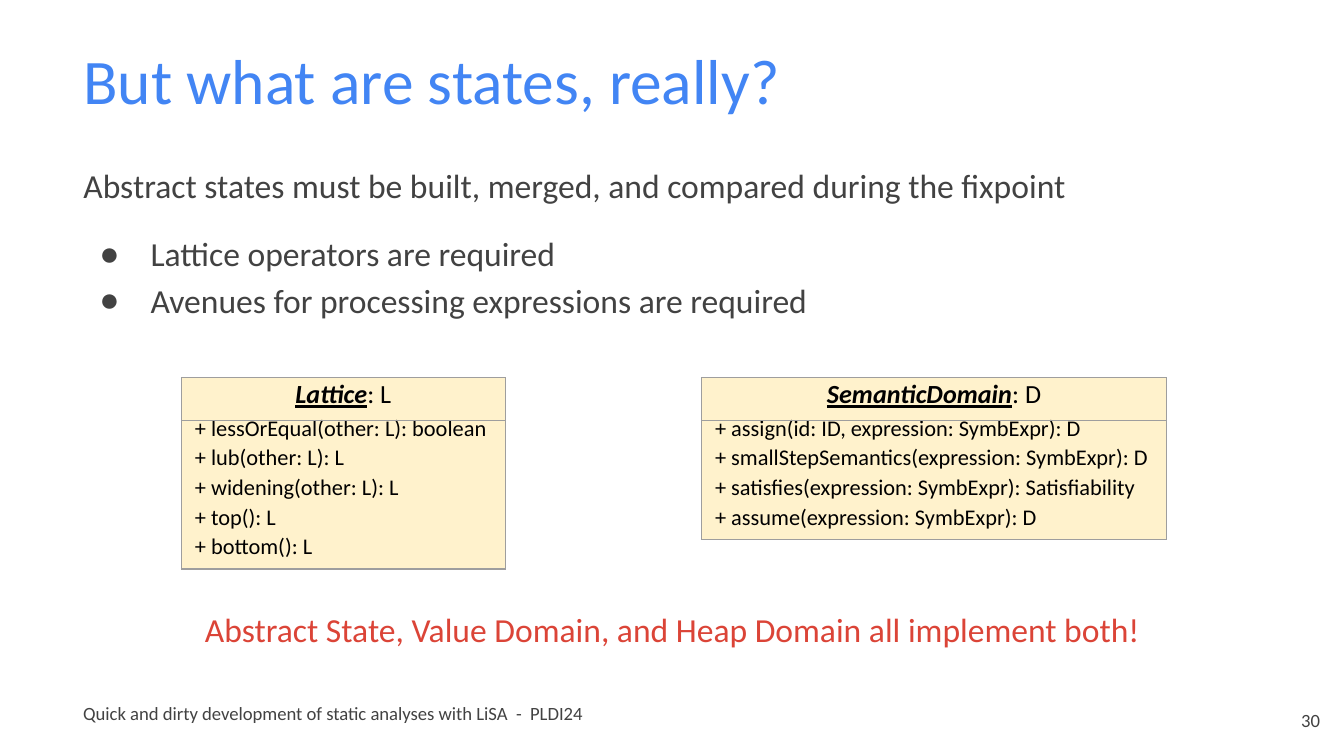
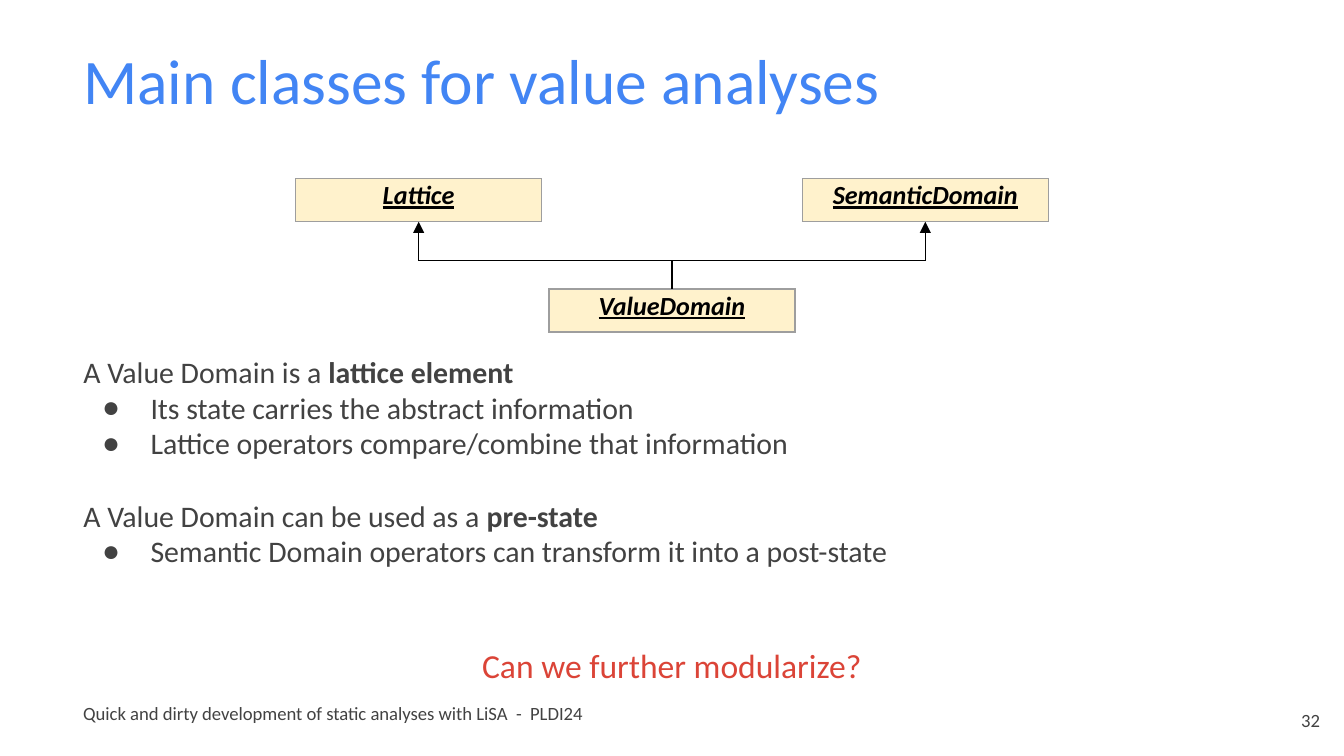
import collections

import lxml.etree
import pptx
import pptx.dml.color
import pptx.enum.shapes
import pptx.enum.text
import pptx.oxml.ns
import pptx.util

Inches, Pt = pptx.util.Inches, pptx.util.Pt
PP_ALIGN = pptx.enum.text.PP_ALIGN
ANCHOR = pptx.enum.text.MSO_ANCHOR
qn = pptx.oxml.ns.qn

Box = collections.namedtuple("Box", "x y w h")

COLORS = {"title": "4285F4", "text": "424242", "accent": "DB4437",
          "ink": "000000", "class": "FFF2CC", "border": "9E9E9E"}
FONT = "Calibri"
TITLE = Box(0.52, 0.13, 8.99, 0.84)
FOOTER = Box(0.52, 5.1, 8.99, 0.43)
NUMBER = Box(9.32, 5.14, 0.6, 0.43)
FOOTER_TEXT = "Quick and dirty development of static analyses with LiSA  -  PLDI24"
HEADER_H, METHOD_H, CLASS_W = 0.32, 0.22, 1.83
EDGES = ("L", "R", "T", "B")


def rgb(name):
    """Return the named colour."""
    return pptx.dml.color.RGBColor.from_string(COLORS[name])


def sub(parent, tag, **attrs):
    """Append an XML child with the given attributes."""
    return lxml.etree.SubElement(parent, qn(tag), attrs)


def place(sp, box):
    """Move a shape onto a box."""
    sp.left, sp.top, sp.width, sp.height = map(Inches, box)


def add_run(p, text, size, color, bold=False, italic=False, underline=False):
    """Add one formatted run."""
    r = p.add_run()
    r.text = text
    f = r.font
    f.name, f.size, f.color.rgb = FONT, Pt(size), rgb(color)
    f.bold, f.italic, f.underline = bold, italic, underline


def format_frame(tf, anchor=ANCHOR.TOP):
    """Give a text frame even margins, wrapping and an anchor."""
    tf.word_wrap = True
    tf.auto_size = pptx.enum.text.MSO_AUTO_SIZE.NONE
    tf.vertical_anchor = anchor
    tf.margin_left = tf.margin_right = tf.margin_top = tf.margin_bottom = Inches(0.1)


def add_label(s, box, text, size, color, align=PP_ALIGN.LEFT, anchor=ANCHOR.TOP):
    """Add a one-paragraph text box and return the paragraph."""
    sp = s.shapes.add_textbox(*map(Inches, box))
    format_frame(sp.text_frame, anchor)
    p = sp.text_frame.paragraphs[0]
    p.alignment = align
    add_run(p, text, size, color)
    return p


def add_base(prs, title, number):
    """Add a slide with title, footer and slide number."""
    s = prs.slides.add_slide(prs.slide_layouts[1])
    sp = s.shapes.title
    place(sp, TITLE)
    format_frame(sp.text_frame, ANCHOR.BOTTOM)
    p = sp.text_frame.paragraphs[0]
    p.alignment = PP_ALIGN.LEFT
    add_run(p, title, 34, "title")
    p = add_label(s, FOOTER, FOOTER_TEXT, 10, "text")
    p.line_spacing = 1.15
    p.space_after = Pt(4)
    add_label(s, NUMBER, str(number), 10, "text", PP_ALIGN.RIGHT, ANCHOR.MIDDLE)
    return s


def set_bullet(p, hanging):
    """Give a paragraph a round bullet, or none if hanging is zero."""
    pPr = p._p.get_or_add_pPr()
    pPr.set("marL", str(Inches(0.5 if hanging else 0)))
    pPr.set("indent", str(-Inches(hanging)))
    if hanging:
        sub(sub(pPr, "a:buClr"), "a:srgbClr", val=COLORS["text"])
        sub(pPr, "a:buChar", char="●")
    else:
        sub(pPr, "a:buNone")


def fill_body(s, box, items, size, hanging, spacing=1.0):
    """Fill the body placeholder from (bulleted, space before, plain, bold) items."""
    sp = s.placeholders[1]
    place(sp, box)
    tf = sp.text_frame
    format_frame(tf)
    for i, (bulleted, before, plain, strong) in enumerate(items):
        p = tf.add_paragraph() if i else tf.paragraphs[0]
        set_bullet(p, hanging if bulleted else 0)
        p.alignment = PP_ALIGN.LEFT
        p.line_spacing = spacing
        p.space_before = Pt(before)
        add_run(p, plain, size, "text")
        if strong:
            add_run(p, strong, size, "text", bold=True)


def format_cell(cell, edges):
    """Fill a class cell and draw only the given edges."""
    tcPr = cell._tc.get_or_add_tcPr()
    for edge in EDGES:
        ln = sub(tcPr, "a:ln" + edge, w=str(Pt(0.75)))
        if edge in edges:
            sub(sub(ln, "a:solidFill"), "a:srgbClr", val=COLORS["border"])
        else:
            sub(ln, "a:noFill")
    cell.fill.solid()
    cell.fill.fore_color.rgb = rgb("class")
    cell.vertical_anchor = ANCHOR.MIDDLE
    cell.margin_left = cell.margin_right = cell.margin_top = cell.margin_bottom = Inches(0.1)


def add_class(s, x, y, w, name, variable="", methods=()):
    """Add a class table with a header and one row for each method."""
    n = len(methods)
    height = HEADER_H + n * METHOD_H
    table = s.shapes.add_table(n + 1, 1, *map(Inches, (x, y, w, height))).table
    table.first_row = table.horz_banding = False
    table.rows[0].height = Inches(HEADER_H)
    head = table.cell(0, 0)
    format_cell(head, EDGES)
    p = head.text_frame.paragraphs[0]
    p.alignment = PP_ALIGN.CENTER
    p.line_spacing = 0.5
    add_run(p, name, 14, "ink", bold=True, italic=True, underline=True)
    if variable:
        add_run(p, ": " + variable, 14, "ink")
    for i, method in enumerate(methods, 1):
        table.rows[i].height = Inches(METHOD_H)
        cell = table.cell(i, 0)
        format_cell(cell, "LR" + "T" * (i == 1) + "B" * (i == n))
        p = cell.text_frame.paragraphs[0]
        p.line_spacing = 0.1
        add_run(p, "+ " + method, 12, "ink")


def add_line(s, x1, y1, x2, y2, arrow=False):
    """Add a thin black line, with an arrowhead at its end if asked."""
    c = s.shapes.add_connector(pptx.enum.shapes.MSO_CONNECTOR.STRAIGHT,
                               *map(Inches, (x1, y1, x2, y2)))
    c.line.color.rgb = rgb("ink")
    c.line.width = Pt(0.75)
    if arrow:
        sub(c.line._get_or_add_ln(), "a:tailEnd", type="triangle")
    sub(c._element.spPr, "a:effectLst")


def add_hierarchy(s, box, parents, child):
    """Add two parent classes at the box corners and their child below."""
    mid = box.x + box.w / 2
    bar = box.y + 0.61
    child_y = box.y + box.h - HEADER_H
    lefts = (box.x, box.x + box.w - CLASS_W)
    for x, name in zip(lefts, parents):
        add_class(s, x, box.y, CLASS_W, name)
    add_class(s, mid - CLASS_W / 2, child_y, CLASS_W, child)
    centres = [x + CLASS_W / 2 for x in lefts]
    for x in centres:
        add_line(s, x, bar, x, box.y + HEADER_H, arrow=True)
    add_line(s, centres[1], bar, centres[0], bar)
    add_line(s, mid, bar, mid, child_y)


def build_states(prs):
    """Build the slide on abstract states."""
    s = add_base(prs, "But what are states, really?", 30)
    fill_body(s, Box(0.52, 1.08, 8.99, 3.98), [
        (False, 0, "Abstract states must be built, merged, and compared during the fixpoint", ""),
        (True, 12, "Lattice operators are required", ""),
        (True, 0, "Avenues for processing expressions are required", ""),
    ], 18, 0.38, 1.15)
    add_class(s, 1.35, 2.81, 2.41, "Lattice", "L", [
        "lessOrEqual(other: L): boolean", "lub(other: L): L",
        "widening(other: L): L", "top(): L", "bottom(): L"])
    add_class(s, 5.22, 2.81, 3.46, "SemanticDomain", "D", [
        "assign(id: ID, expression: SymbExpr): D",
        "smallStepSemantics(expression: SymbExpr): D",
        "satisfies(expression: SymbExpr): Satisfiability",
        "assume(expression: SymbExpr): D"])
    add_label(s, Box(1.12, 4.43, 7.77, 0.6),
              "Abstract State, Value Domain, and Heap Domain all implement both!",
              18, "accent", PP_ALIGN.CENTER)


def build_value_classes(prs):
    """Build the slide on the classes for value analyses."""
    s = add_base(prs, "Main classes for value analyses", 32)
    add_hierarchy(s, Box(2.2, 1.33, 5.6, 1.14),
                  ("Lattice", "SemanticDomain"), "ValueDomain")
    fill_body(s, Box(0.52, 2.53, 6.27, 2.07), [
        (False, 0, "A Value Domain is a ", "lattice element"),
        (True, 0, "Its state carries the abstract information", ""),
        (True, 0, "Lattice operators compare/combine that information", ""),
        (False, 19.5, "A Value Domain can be used as a ", "pre-state"),
        (True, 0, "Semantic Domain operators can transform it into a post-state", ""),
    ], 16, 0.36)
    add_label(s, Box(1.13, 4.7, 7.74, 0.41), "Can we further modularize?",
              18, "accent", PP_ALIGN.CENTER)


def main():
    """Build and save the presentation."""
    prs = pptx.Presentation()
    prs.slide_width = Inches(10)
    prs.slide_height = prs.slide_width * 9 // 16
    build_states(prs)
    build_value_classes(prs)
    prs.save("out.pptx")


if __name__ == "__main__":
    main()
